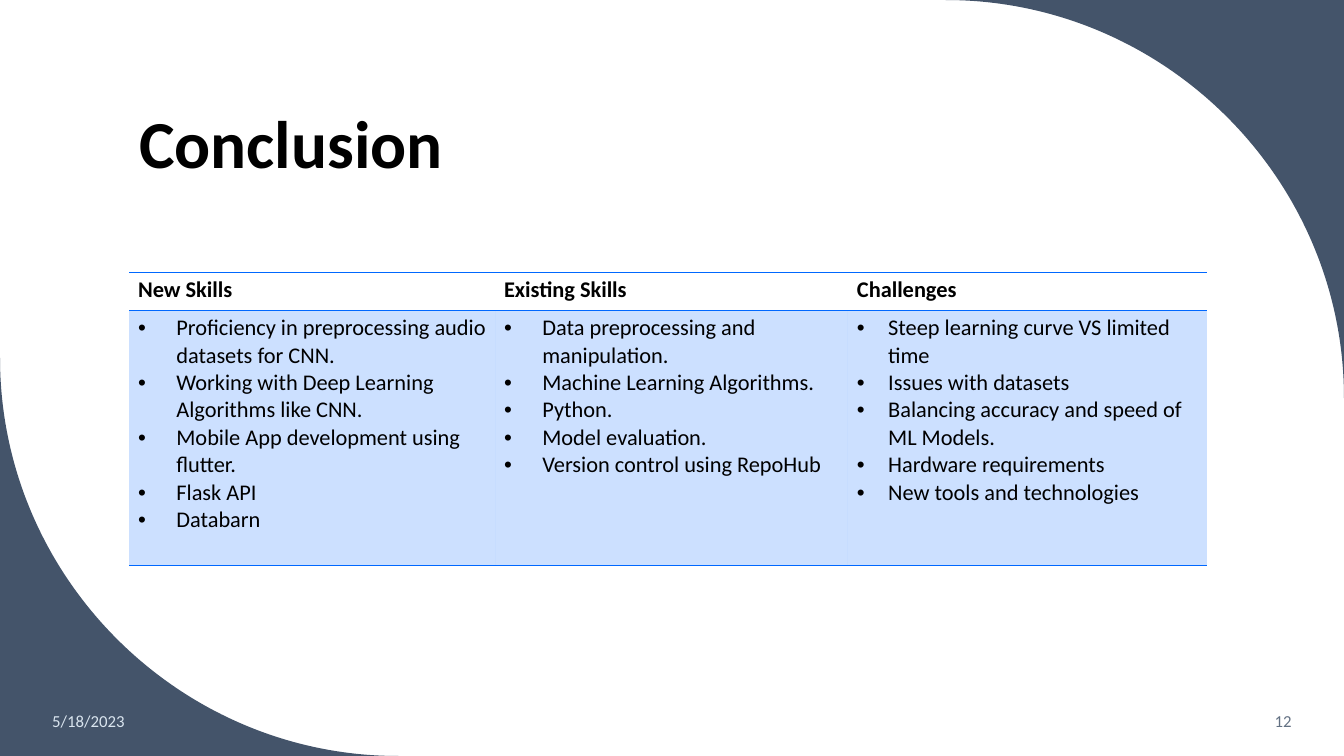
"""Build the conclusion slide: a three-column skills table between two curved corners."""
from lxml import etree
from pptx import Presentation
from pptx.dml.color import RGBColor
from pptx.enum.text import MSO_ANCHOR, MSO_AUTO_SIZE, PP_ALIGN
from pptx.oxml.ns import qn
from pptx.util import Inches, Pt

LEFT, RIGHT = PP_ALIGN.LEFT, PP_ALIGN.RIGHT
BOTTOM, MIDDLE = MSO_ANCHOR.BOTTOM, MSO_ANCHOR.MIDDLE
NO_FIT = MSO_AUTO_SIZE.NONE
WIDTH, HEIGHT, RADIUS = 13.33, 7.5, 3.95
ARC = 0.55
PLAIN_TABLE = "{2D5ABB26-0587-4C30-8999-92F81FD0307C}"

COLUMNS = [
    ("New Skills", 3.63, 0.38, [
        "Proficiency in preprocessing audio datasets for CNN.",
        "Working with Deep Learning Algorithms like CNN.",
        "Mobile App development using flutter.",
        "Flask API",
        "Databarn",
    ]),
    ("Existing Skills", 3.5, 0.38, [
        "Data preprocessing and manipulation.",
        "Machine Learning Algorithms.",
        "Python.",
        "Model evaluation.",
        "Version control using RepoHub",
    ]),
    ("Challenges", 3.56, 0.31, [
        "Steep learning curve VS limited time",
        "Issues with datasets",
        "Balancing accuracy and speed of ML Models.",
        "Hardware requirements",
        "New tools and technologies",
    ]),
]


def rgb(value):
    return RGBColor.from_string(value)


class SlideBuilder:
    """Holds the style and the current slide."""

    font = "Calibri"
    ink = "000000"
    slate = "44546A"
    accent = "0068FF"

    def __init__(self, prs):
        self.s = prs.slides.add_slide(prs.slide_layouts[5])
        self.s.background.fill.solid()
        self.s.background.fill.fore_color.rgb = rgb("FFFFFF")

    def format(self, p, size, color, bold=False):
        for r in p.runs:
            r.font.name = self.font
            r.font.size = Pt(size)
            r.font.bold = bold
            r.font.color.rgb = rgb(color)

    def corner(self, start, end, tip):
        points = [(Inches(x), Inches(y)) for x, y in (start, end, tip)]
        builder = self.s.shapes.build_freeform(*points[0])
        builder.add_line_segments(points[1:], close=True)
        sp = builder.convert_to_shape()
        sp.shadow.inherit = False
        sp.fill.solid()
        sp.fill.fore_color.rgb = rgb(self.slate)
        sp.line.fill.background()
        self.curve(sp)

    def curve(self, sp):
        nodes = sp._element.findall(".//" + qn("a:pt"))
        first, last, tip = [(int(pt.get("x")), int(pt.get("y"))) for pt in nodes[:3]]
        line = nodes[1].getparent()
        bezier = etree.Element(qn("a:cubicBezTo"))
        for x, y in (first, last):
            etree.SubElement(bezier, qn("a:pt"), x=str(round(x + ARC * (tip[0] - x))),
                             y=str(round(y + ARC * (tip[1] - y))))
        bezier.append(nodes[1])
        line.getparent().replace(line, bezier)

    def title(self, text, x, y, w, h):
        sp = self.s.shapes.title
        sp.left, sp.top, sp.width, sp.height = map(Inches, (x, y, w, h))
        tf = sp.text_frame
        tf.text = text
        tf.auto_size = NO_FIT
        tf.vertical_anchor = BOTTOM
        p = tf.paragraphs[0]
        p.alignment = LEFT
        p.line_spacing = 0.9
        self.format(p, 48, self.ink, True)

    def footer(self, text, x, w, color, align):
        sp = self.s.shapes.add_textbox(Inches(x), Inches(6.95), Inches(w), Inches(0.4))
        tf = sp.text_frame
        tf.text = text
        tf.word_wrap = True
        tf.vertical_anchor = MIDDLE
        p = tf.paragraphs[0]
        p.alignment = align
        p.space_after = Pt(6)
        self.format(p, 12, color)

    def borders(self, cell):
        tc_pr = cell._tc.get_or_add_tcPr()
        for i, side in enumerate(("lnT", "lnB")):
            ln = etree.Element(qn("a:" + side), w=str(Pt(1)))
            fill = etree.SubElement(ln, qn("a:solidFill"))
            etree.SubElement(fill, qn("a:srgbClr"), val=self.accent)
            tc_pr.insert(i, ln)

    def tint(self, cell):
        cell.fill.solid()
        cell.fill.fore_color.rgb = rgb(self.accent)
        color = cell._tc.tcPr.find(".//" + qn("a:srgbClr"))
        etree.SubElement(color, qn("a:alpha"), val="20000")

    def bullet(self, p, indent):
        p_pr = p._p.get_or_add_pPr()
        p_pr.set("marL", str(Inches(indent)))
        p_pr.set("indent", str(-Inches(indent)))
        etree.SubElement(p_pr, qn("a:buFont"), typeface="Arial")
        etree.SubElement(p_pr, qn("a:buChar"), char="•")

    def table(self, columns, x, y, heights):
        total = sum(width for _, width, _, _ in columns)
        frame = self.s.shapes.add_table(len(heights), len(columns), Inches(x), Inches(y),
                                        Inches(total), Inches(sum(heights)))
        table = frame.table
        table.horz_banding = False
        frame._element.find(".//" + qn("a:tableStyleId")).text = PLAIN_TABLE
        for row, height in zip(table.rows, heights):
            row.height = Inches(height)
        for i, (heading, width, indent, items) in enumerate(columns):
            table.columns[i].width = Inches(width)
            head, body = table.cell(0, i), table.cell(1, i)
            head.text = heading
            body.text = "\n".join(items)
            head.fill.background()
            self.tint(body)
            for cell in (head, body):
                cell.margin_left = cell.margin_right = Inches(0.09)
                cell.margin_top = cell.margin_bottom = Inches(0.04)
                self.borders(cell)
                for p in cell.text_frame.paragraphs:
                    self.format(p, 16, self.ink, cell is head)
            for p in body.text_frame.paragraphs:
                self.bullet(p, indent)


def main():
    prs = Presentation()
    prs.slide_width, prs.slide_height = Inches(WIDTH), Inches(HEIGHT)
    slide = SlideBuilder(prs)
    slide.corner((WIDTH - RADIUS, 0), (WIDTH, RADIUS), (WIDTH, 0))
    slide.corner((RADIUS, HEIGHT), (0, HEIGHT - RADIUS), (0, HEIGHT))
    slide.title("Conclusion", 1.28, 0.42, 10.69, 1.45)
    slide.footer("5/18/2023", 0.42, 1.86, "DAE5EF", LEFT)
    slide.footer("12", 11.1, 1.81, "637183", RIGHT)
    slide.table(COLUMNS, 1.28, 2.7, (0.38, 2.53))
    prs.save("out.pptx")


if __name__ == "__main__":
    main()
